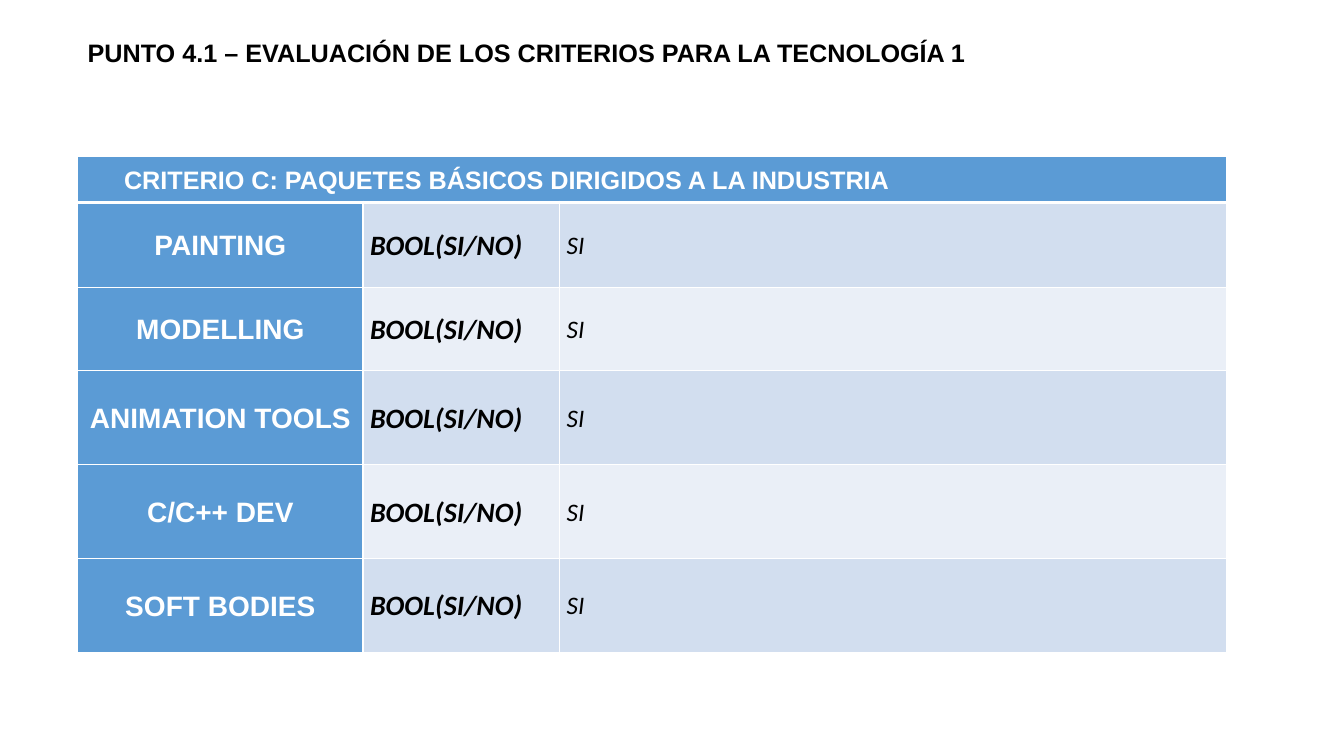
from dataclasses import dataclass

from lxml.etree import fromstring
from pptx import Presentation
from pptx.dml.color import RGBColor
from pptx.enum.text import MSO_ANCHOR as Anchor, MSO_AUTO_SIZE as Fit, PP_ALIGN as Align
from pptx.oxml.ns import nsdecls
from pptx.util import Inches, Pt

WIDE, HIGH = Inches(13.33), Inches(7.5)
BLUE, WHITE, BLACK = "5B9BD5", "FFFFFF", "000000"
BANDS = ("D2DEEF", "EAEFF7")
LEFT = 5.78
COLS = (21.23, 14.63, 49.59)
ROWS = (6.13, 11.2, 11.07, 12.4, 12.4, 12.4)
TOOLS = ("PAINTING", "MODELLING", "ANIMATION TOOLS", "C/C++ DEV", "SOFT BODIES")


@dataclass(frozen=True)
class Style:
    face: str
    size: int
    ink: str
    bold: bool
    slant: bool
    align: Align


TITLE = Style("Arial", 18, BLACK, True, False, Align.JUSTIFY)
HEAD = Style("Arial", 18, WHITE, True, False, Align.LEFT)
LABEL = Style("Arial", 20, WHITE, True, False, Align.CENTER)
KIND = Style("Calibri", 20, BLACK, True, True, Align.JUSTIFY)
VALUE = Style("Calibri", 18, BLACK, False, True, Align.JUSTIFY)


def across(share: float) -> int:
    return round(WIDE * share / 100)


def down(share: float) -> int:
    return round(HIGH * share / 100)


def color(code: str) -> RGBColor:
    return RGBColor.from_string(code)


def write(para, text: str, style: Style) -> None:
    para.alignment = style.align
    run = para.add_run()
    run.text = text
    form = {"name": style.face, "size": Pt(style.size), "bold": style.bold, "italic": style.slant}
    for key, val in form.items():
        setattr(run.font, key, val)
    run.font.color.rgb = color(style.ink)


def edge(cell, top: int, base: int) -> None:
    props = cell._tc.get_or_add_tcPr()
    sides = {"lnL": 1, "lnR": 1, "lnT": top, "lnB": base}
    for spot, (side, width) in enumerate(sides.items()):
        props.insert(spot, fromstring(
            f'<a:{side} {nsdecls("a")} w="{Pt(width)}"><a:solidFill>'
            f'<a:srgbClr val="{WHITE}"/></a:solidFill></a:{side}>'))


def fill(cell, text: str, style: Style, back: str) -> None:
    form = {"vertical_anchor": Anchor.MIDDLE, "margin_left": Inches(0.07),
            "margin_right": Inches(0.07), "margin_top": 0, "margin_bottom": 0}
    for key, val in form.items():
        setattr(cell, key, val)
    cell.fill.solid()
    cell.fill.fore_color.rgb = color(back)
    para = cell.text_frame.paragraphs[0]
    para.line_spacing = 1.07
    write(para, text, style)


def title(slide) -> None:
    box = slide.shapes.add_textbox(across(LEFT), down(4.27), across(78.47), down(5.33))
    frame = box.text_frame
    form = {"word_wrap": True, "auto_size": Fit.SHAPE_TO_FIT_TEXT, "vertical_anchor": Anchor.MIDDLE}
    for key, val in form.items():
        setattr(frame, key, val)
    write(frame.paragraphs[0], "PUNTO 4.1 – EVALUACIÓN DE LOS CRITERIOS PARA LA TECNOLOGÍA 1", TITLE)


def grid(slide) -> None:
    table = slide.shapes.add_table(
        len(ROWS), len(COLS), across(LEFT), down(20.67), across(sum(COLS)), down(sum(ROWS))).table
    for col, share in zip(table.columns, COLS):
        col.width = across(share)
    for row, share in zip(table.rows, ROWS):
        row.height = down(share)
    for rank, row in enumerate(table.rows):
        for cell in row.cells:
            edge(cell, 3 if rank == 1 else 1, 3 if rank == 0 else 1)
    head = table.cell(0, 0)
    head.merge(table.cell(0, len(COLS) - 1))
    fill(head, "CRITERIO C: PAQUETES BÁSICOS DIRIGIDOS A LA INDUSTRIA", HEAD, BLUE)
    indent = head.text_frame.paragraphs[0]._p.get_or_add_pPr()
    for key, val in {"marL": Inches(0.39), "indent": 0}.items():
        indent.set(key, str(val))
    for rank, tool in enumerate(TOOLS):
        band = BANDS[rank % 2]
        parts = ((tool, LABEL, BLUE), ("BOOL(SI/NO)", KIND, band), ("SI", VALUE, band))
        for col, part in enumerate(parts):
            fill(table.cell(rank + 1, col), *part)


def main() -> None:
    deck = Presentation()
    deck.slide_width, deck.slide_height = WIDE, HIGH
    slide = deck.slides.add_slide(deck.slide_layouts[6])
    title(slide)
    grid(slide)
    deck.save("out.pptx")


if __name__ == "__main__":
    main()
